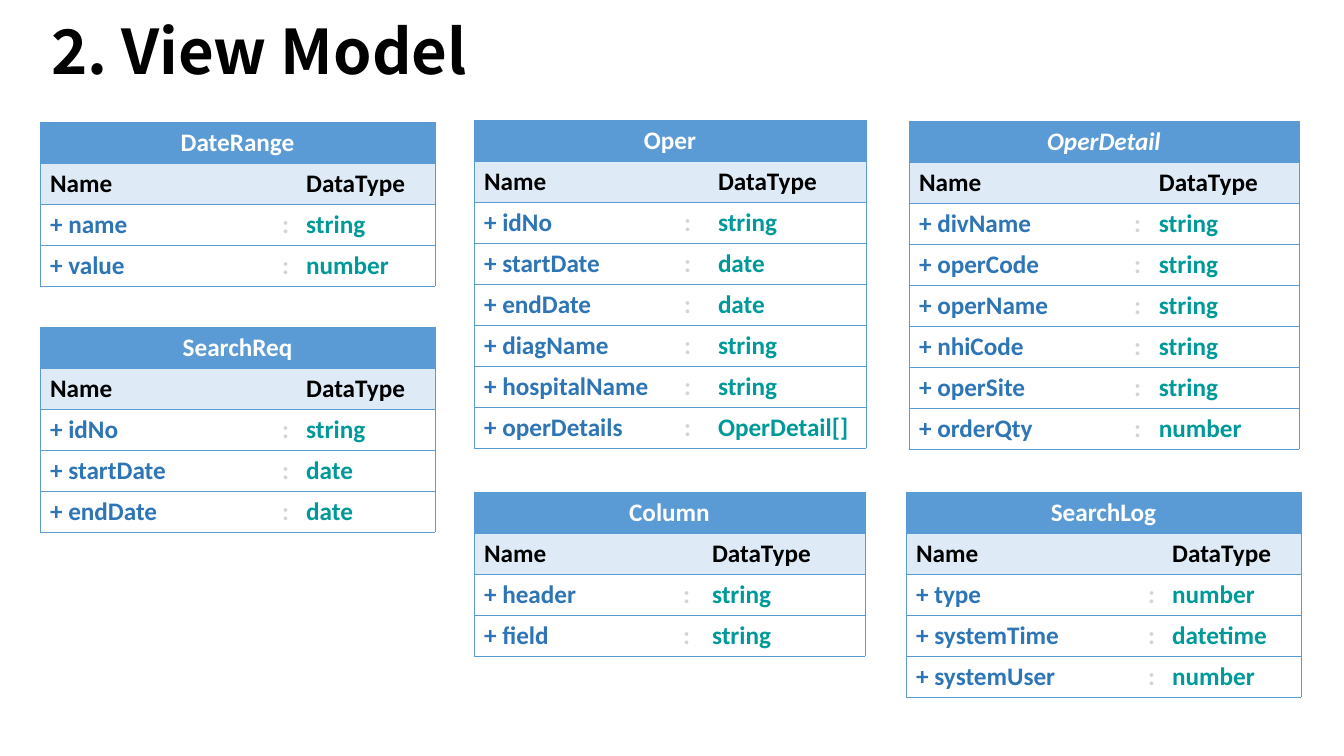
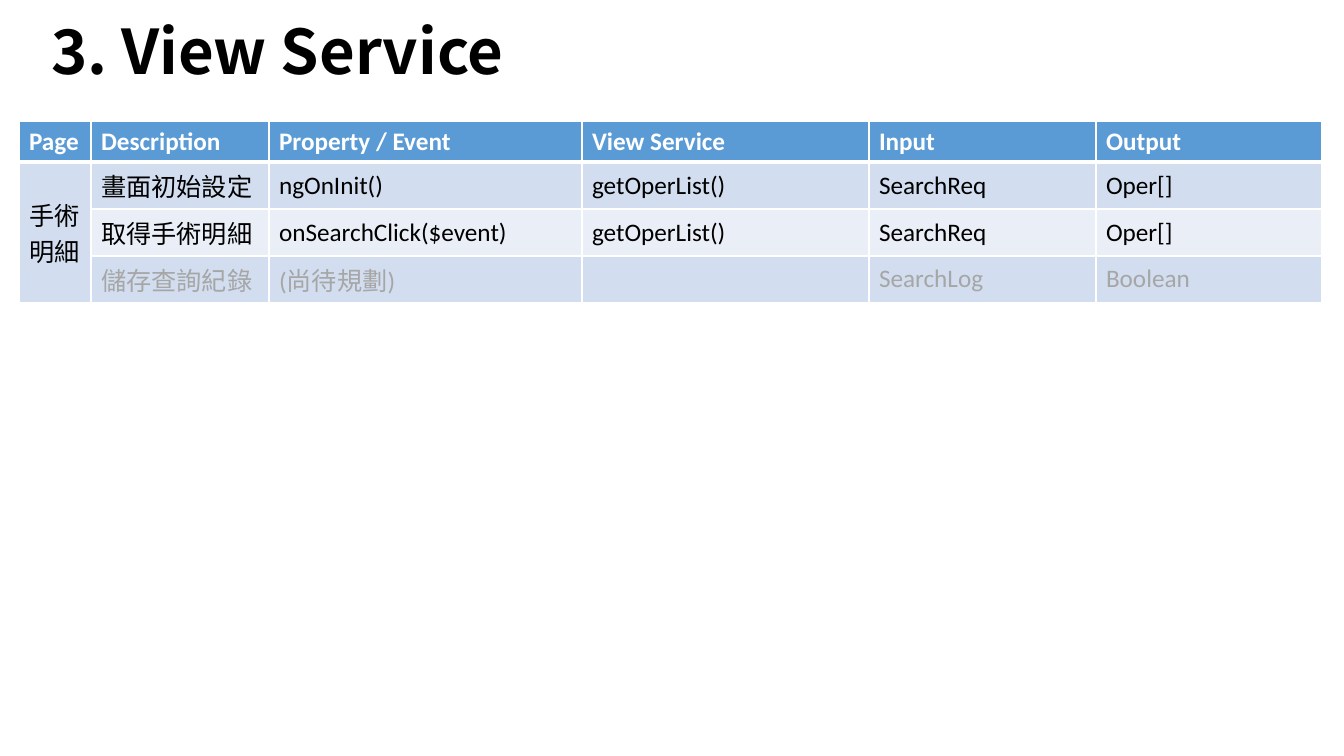
import lxml.etree
import pptx
import pptx.dml.color
import pptx.enum.text
import pptx.oxml.ns
import pptx.util

qn = pptx.oxml.ns.qn
RGB = pptx.dml.color.RGBColor.from_string
PP_ALIGN = pptx.enum.text.PP_ALIGN
MSO_ANCHOR = pptx.enum.text.MSO_ANCHOR


class Theme:
    latin = "Calibri"
    cjk = "Noto Sans CJK SC"
    title_size = pptx.util.Pt(44)
    table_size = pptx.util.Pt(18)
    black = "000000"
    white = "FFFFFF"
    blue = "5B9BD5"
    pale = "DEEBF7"
    field = "2E75B6"
    colon = "D4D4D4"
    datatype = "009999"
    bands = ["D2DEEF", "EAEFF7"]
    pending = "A6A6A6"
    plain_table = "{2D5ABB26-0587-4C30-8999-92F81FD0307C}"


def px(n):
    return pptx.util.Emu(round(n * 914400 / 100.8))


def format_cell(cell, text, color, fill, borders, align=PP_ALIGN.LEFT, **font):
    tcPr = cell._tc.get_or_add_tcPr()
    for side in "LRTB":
        if side in borders:
            line_color, width = borders[side]
            ln = lxml.etree.SubElement(tcPr, qn("a:ln" + side), w=str(pptx.util.Pt(width)))
            solid = lxml.etree.SubElement(ln, qn("a:solidFill"))
            lxml.etree.SubElement(solid, qn("a:srgbClr"), val=line_color)
    if fill:
        cell.fill.solid()
        cell.fill.fore_color.rgb = RGB(fill)
    p = cell.text_frame.paragraphs[0]
    p.alignment = align
    p.font.size = Theme.table_size
    if text:
        r = p.add_run()
        r.text = text
        formats = {"name": Theme.latin, "size": Theme.table_size, **font}
        for key, value in formats.items():
            setattr(r.font, key, value)
        r.font.color.rgb = RGB(color)
        lxml.etree.SubElement(r._r.get_or_add_rPr(), qn("a:ea"), typeface=Theme.cjk)


prs = pptx.Presentation()
prs.slide_width, prs.slide_height = px(1344), px(756)

slides = []
for title in ["2. View Model", "3. View Service"]:
    s = prs.slides.add_slide(prs.slide_layouts[5])
    sp = s.shapes.title
    box = {"left": px(41), "top": px(-10), "width": px(937), "height": px(129)}
    for key, value in box.items():
        setattr(sp, key, value)
    tf = sp.text_frame
    tf.word_wrap = True
    tf.auto_size = pptx.enum.text.MSO_AUTO_SIZE.NONE
    tf.vertical_anchor = MSO_ANCHOR.MIDDLE
    p = tf.paragraphs[0]
    p.alignment = PP_ALIGN.LEFT
    p.line_spacing = 0.9
    r = p.add_run()
    r.text = title
    for key, value in {"name": Theme.cjk, "size": Theme.title_size, "bold": True}.items():
        setattr(r.font, key, value)
    r.font.color.rgb = RGB(Theme.black)
    slides.append(s)

model_slide, service_slide = slides

narrow_colon = [232, 23, 139]
models = [
    ("DateRange", 40, 122, narrow_colon, [("name", "string"), ("value", "number")]),
    ("SearchReq", 40, 327, narrow_colon,
     [("idNo", "string"), ("startDate", "date"), ("endDate", "date")]),
    ("Oper", 474, 120, [200, 34, 158],
     [("idNo", "string"), ("startDate", "date"), ("endDate", "date"),
      ("diagName", "string"), ("hospitalName", "string"), ("operDetails", "OperDetail[]")]),
    ("OperDetail", 909, 121, [215, 25, 150],
     [("divName", "string"), ("operCode", "string"), ("operName", "string"),
      ("nhiCode", "string"), ("operSite", "string"), ("orderQty", "number")]),
    ("Column", 474, 492, [199, 29, 163], [("header", "string"), ("field", "string")]),
    ("SearchLog", 906, 492, narrow_colon,
     [("type", "number"), ("systemTime", "datetime"), ("systemUser", "number")]),
]
row_height = 41
rule = (Theme.blue, 0.5)

for name, left, top, widths, fields in models:
    rows = [(name, "", ""), ("Name", "", "DataType")]
    rows += [("+ " + field, ":", datatype) for field, datatype in fields]
    sp = model_slide.shapes.add_table(
        len(rows), 3, px(left), px(top), px(sum(widths)), px(row_height * len(rows)))
    tbl = sp.table
    tbl._tbl.tblPr.find(qn("a:tableStyleId")).text = Theme.plain_table
    for col, width in zip(tbl.columns, widths):
        col.width = px(width)
    tbl.cell(0, 0).merge(tbl.cell(0, 2))
    for i, row in enumerate(rows):
        tbl.rows[i].height = px(row_height)
        fill = {0: Theme.blue, 1: Theme.pale}.get(i)
        colors = {0: [Theme.white] * 3, 1: [Theme.black] * 3}.get(
            i, [Theme.field, Theme.colon, Theme.datatype])
        for j, text in enumerate(row):
            borders = {"T": rule, "B": rule}
            if j == 0:
                borders["L"] = rule
            if j == 2 or i == 0:
                borders["R"] = rule
            format_cell(tbl.cell(i, j), text, colors[j], fill, borders,
                        align=PP_ALIGN.LEFT if i else PP_ALIGN.CENTER,
                        bold=True, italic=i == 0 and name == "OperDetail")

services = [
    ("Page", "Description", "Property / Event", "View Service", "Input", "Output"),
    ("手術明細", "畫面初始設定", "ngOnInit()", "getOperList()", "SearchReq", "Oper[]"),
    ("", "取得手術明細", "onSearchClick($event)", "getOperList()", "SearchReq", "Oper[]"),
    ("", "儲存查詢紀錄", "(尚待規劃)", "", "SearchLog", "Boolean"),
]
widths = [72, 178, 313, 287, 227, 226]
heights = [41, 47, 47, 46]
sp = service_slide.shapes.add_table(
    len(services), len(widths), px(19), px(121), px(sum(widths)), px(sum(heights)))
tbl = sp.table
tbl._tbl.tblPr.find(qn("a:tableStyleId")).text = Theme.plain_table
for col, width in zip(tbl.columns, widths):
    col.width = px(width)
tbl.cell(1, 0).merge(tbl.cell(3, 0))
thin, thick = (Theme.white, 1), (Theme.white, 3)
for i, row in enumerate(services):
    tbl.rows[i].height = px(heights[i])
    header = i == 0
    color = [Theme.white, Theme.black, Theme.black, Theme.pending][i]
    for j, text in enumerate(row):
        band = Theme.bands[0 if j == 0 else (i - 1) % 2]
        borders = {"L": thin, "R": thin,
                   "T": thick if i == 1 else thin, "B": thick if header else thin}
        cell = tbl.cell(i, j)
        cell.vertical_anchor = MSO_ANCHOR.MIDDLE
        format_cell(cell, text, color, Theme.blue if header else band, borders,
                    bold=header, name=Theme.cjk if j < 2 and not header else Theme.latin)

prs.save("out.pptx")
